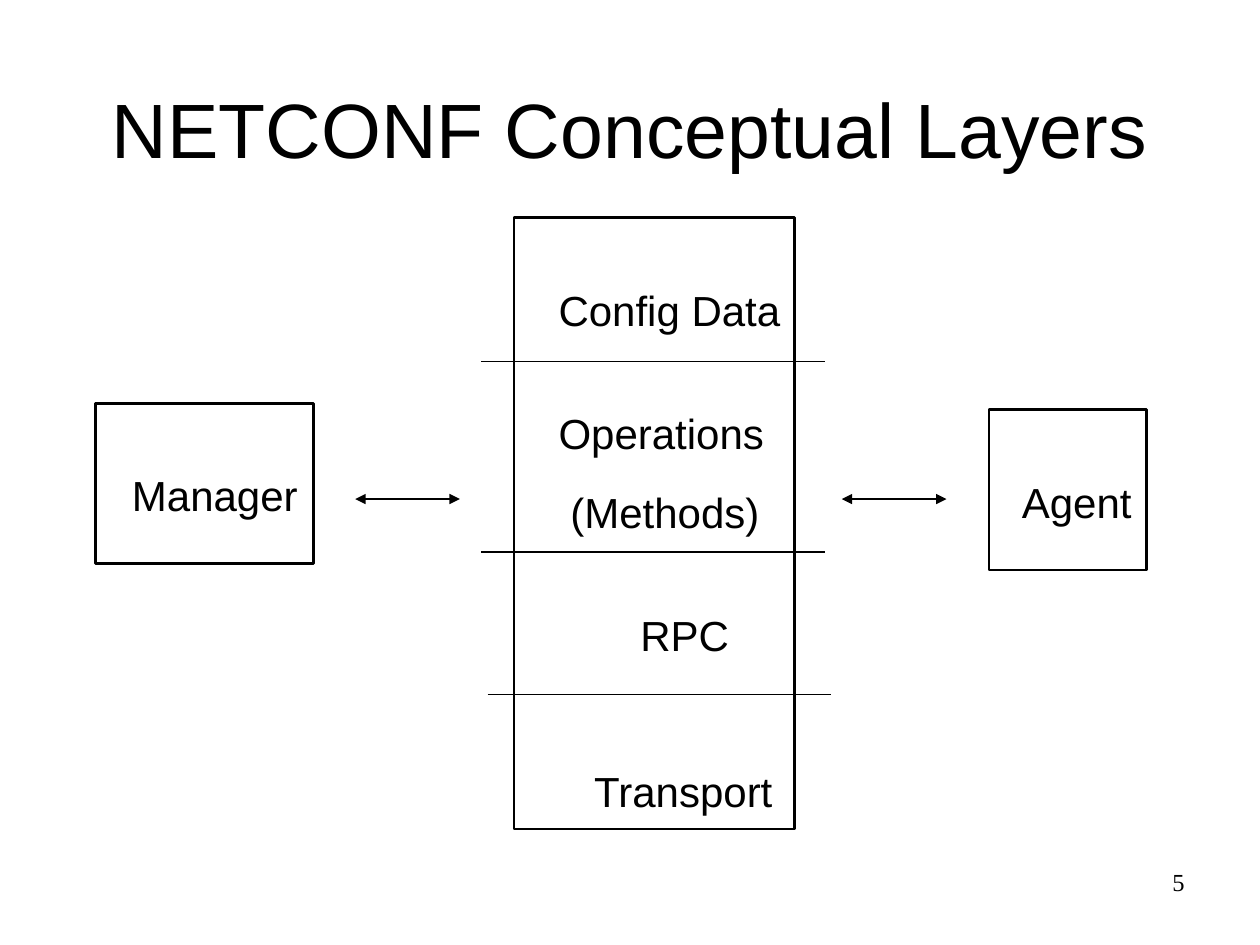
from pptx import Presentation
from pptx.dml.color import RGBColor
from pptx.enum.shapes import MSO_CONNECTOR, MSO_SHAPE
from pptx.enum.text import MSO_ANCHOR, PP_ALIGN
from pptx.oxml.ns import qn
from pptx.util import Cm, Pt
from lxml.etree import SubElement

COLORS = {"ink": "000000", "page": "FFFFFF"}
LAYERS = [
    ("Config Data", 0.65, 0),
    ("Operations", 0.65, 41.5),
    ("(Methods)", 0.89, 16.4),
    ("RPC", 2.3, 41.5),
    ("Transport", 1.37, 60.4),
]


def color(name):
    return RGBColor.from_string(COLORS[name])


def style(para, size, face="Arial"):
    para.font.size = Pt(size)
    para.font.name = face
    para.font.color.rgb = color("ink")


def add_label(slide, area, text, size, align, anchor, face="Arial"):
    frame = slide.shapes.add_textbox(*map(Cm, area)).text_frame
    frame.word_wrap = True
    frame.vertical_anchor = anchor
    para = frame.paragraphs[0]
    para.text = text
    para.alignment = align
    style(para, size, face)


def add_box(slide, area, rows):
    box = slide.shapes.add_shape(MSO_SHAPE.RECTANGLE, *map(Cm, area))
    box.shadow.inherit = False
    box.fill.background()
    box.line.color.rgb = color("ink")
    box.line.width = Pt(1.5)
    frame = box.text_frame
    frame.word_wrap = True
    frame.vertical_anchor = MSO_ANCHOR.TOP
    frame.margin_top = Cm(1.34)
    frame.margin_left = Cm(0.25)
    frame.margin_right = frame.margin_bottom = 0
    for i, (text, indent, gap) in enumerate(rows):
        para = frame.add_paragraph() if i else frame.paragraphs[0]
        para.text = text
        para.alignment = PP_ALIGN.LEFT
        para._p.get_or_add_pPr().set("marL", str(Cm(indent)))
        if gap:
            para.space_before = Pt(gap)
        style(para, 24)


def add_line(slide, left, top, width, arrows=False):
    ends = map(Cm, (left, top, left + width, top))
    link = slide.shapes.add_connector(MSO_CONNECTOR.STRAIGHT, *ends)
    link.line.color.rgb = color("ink")
    link.line.width = Pt(1)
    if arrows:
        stroke = link.line._get_or_add_ln()
        for end in ("a:headEnd", "a:tailEnd"):
            SubElement(stroke, qn(end), type="triangle")
    SubElement(link._element.spPr, qn("a:effectLst"))


def main():
    deck = Presentation()
    deck.slide_width, deck.slide_height = Cm(25.4), Cm(19.05)
    slide = deck.slides.add_slide(deck.slide_layouts[6])
    slide.background.fill.solid()
    slide.background.fill.fore_color.rgb = color("page")

    add_label(slide, (1.27, 1.04, 22.86, 2.59), "NETCONF Conceptual Layers",
              44, PP_ALIGN.CENTER, MSO_ANCHOR.BOTTOM)
    add_box(slide, (1.93, 8.13, 4.39, 3.23), [("Manager", 0.48, 0)])
    add_box(slide, (19.94, 8.26, 3.18, 3.23), [("Agent", 0.41, 0)])
    add_box(slide, (10.36, 4.39, 5.66, 12.32), LAYERS)
    for left in (7.16, 16.97):
        add_line(slide, left, 10.06, 2.11, arrows=True)
    for left, top in ((9.7, 7.29), (9.7, 11.13), (9.83, 14)):
        add_line(slide, left, top, 6.93)
    add_label(slide, (18.21, 17.35, 5.92, 1.32), "5", 14,
              PP_ALIGN.RIGHT, MSO_ANCHOR.TOP, "Times New Roman")
    deck.save("out.pptx")


if __name__ == "__main__":
    main()
